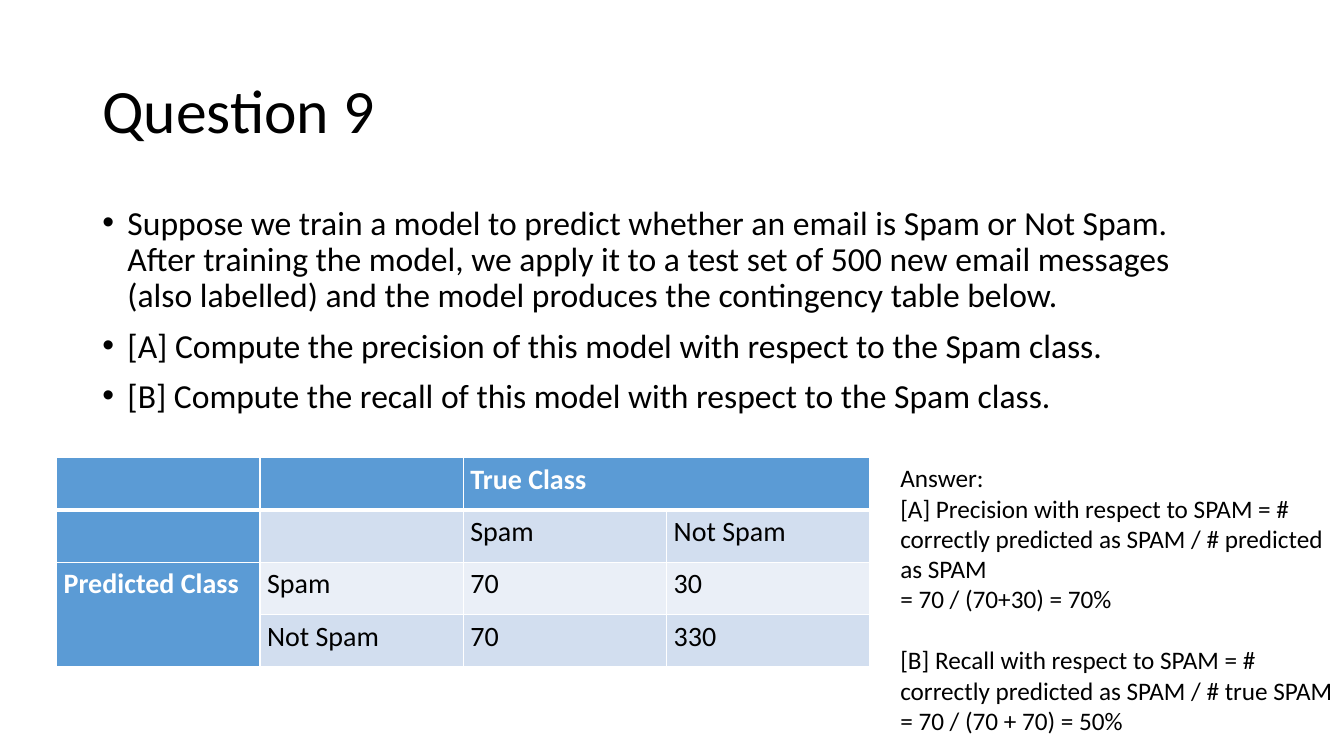
import pptx
import pptx.dml.color
import pptx.enum.text
import pptx.oxml
import pptx.oxml.ns
import pptx.util

Pt = pptx.util.Pt
ALIGN = pptx.enum.text.PP_ALIGN
ANCHOR = pptx.enum.text.MSO_ANCHOR
FONT = "Calibri"
COLORS = {"text": "000000", "white": "FFFFFF", "header": "5B9BD5",
          "band": "D2DEEF", "light": "EAEFF7"}

TITLE = "Question 9"
QUESTIONS = [
    "Suppose we train a model to predict whether an email is Spam or Not Spam. "
    "After training the model, we apply it to a test set of 500 new email messages "
    "(also labelled) and the model produces the contingency table below.",
    "[A] Compute the precision of this model with respect to the Spam class.",
    "[B] Compute the recall of this model with respect to the Spam class.",
]
CONTINGENCY = [
    ["", "", "True Class", ""],
    ["", "", "Spam", "Not Spam"],
    ["Predicted Class", "Spam", "70", "30"],
    ["", "Not Spam", "70", "330"],
]
# Each answer line with the space before it
ANSWER = [
    ("Answer:", 0),
    ("[A] Precision with respect to SPAM = # correctly predicted as SPAM / # predicted as SPAM", 0),
    ("= 70 / (70+30) = 70%", 0),
    ("[B] Recall with respect to SPAM = # correctly predicted as SPAM / # true SPAM", 22),
    ("= 70 / (70 + 70) = 50%", 0),
]


def rgb(name):
    return pptx.dml.color.RGBColor.from_string(COLORS[name])


def add_run(p, text, size, color="text", bold=False):
    r = p.add_run()
    r.text = text
    r.font.name = FONT
    r.font.size = Pt(size)
    r.font.bold = bold
    r.font.color.rgb = rgb(color)


def add_paragraph(tf, i):
    """Return the paragraph at index i, using the frame's first one for 0."""
    return tf.add_paragraph() if i else tf.paragraphs[0]


def add_text_frame(s, left, top, width, height):
    tf = s.shapes.add_textbox(Pt(left), Pt(top), Pt(width), Pt(height)).text_frame
    tf.word_wrap = True
    return tf


def add_title(s, left, top, width, height):
    sp = s.shapes.title
    sp.left, sp.top, sp.width, sp.height = Pt(left), Pt(top), Pt(width), Pt(height)
    tf = sp.text_frame
    tf.vertical_anchor = ANCHOR.MIDDLE
    p = tf.paragraphs[0]
    p.alignment = ALIGN.LEFT
    p.line_spacing = 0.9
    add_run(p, TITLE, 44)


def add_questions(s, left, top, width, height):
    tf = add_text_frame(s, left, top, width, height)
    for i, text in enumerate(QUESTIONS):
        p = add_paragraph(tf, i)
        p.line_spacing = 0.9
        p.space_before = Pt(10)
        pPr = p._p.get_or_add_pPr()
        pPr.set("marL", str(Pt(18)))
        pPr.set("indent", str(Pt(-18)))
        for tag, key, value in (("buFont", "typeface", "Arial"), ("buChar", "char", "•")):
            pptx.oxml.ns.qn("a:" + tag)
            pPr.append(pptx.oxml.parse_xml(
                f'<a:{tag} {pptx.oxml.ns.nsdecls("a")} {key}="{value}"/>'))
        add_run(p, text, 24)


def set_borders(cell, bottom):
    tcPr = cell._tc.get_or_add_tcPr()
    widths = {"lnL": 1, "lnR": 1, "lnT": 1, "lnB": bottom}
    for i, (tag, width) in enumerate(widths.items()):
        tcPr.insert(i, pptx.oxml.parse_xml(
            f'<a:{tag} {pptx.oxml.ns.nsdecls("a")} w="{Pt(width)}"><a:solidFill>'
            f'<a:srgbClr val="{COLORS["white"]}"/></a:solidFill></a:{tag}>'))


def add_contingency_table(s, left, top, width, height):
    n_rows, n_cols = len(CONTINGENCY), len(CONTINGENCY[0])
    table = s.shapes.add_table(n_rows, n_cols, Pt(left), Pt(top),
                               Pt(width), Pt(height)).table
    for row in table.rows:
        row.height = Pt(height / n_rows)
    for col in table.columns:
        col.width = Pt(width / n_cols)
    for i, values in enumerate(CONTINGENCY):
        for j, text in enumerate(values):
            cell = table.cell(i, j)
            header = i == 0 or j == 0
            cell.fill.solid()
            cell.fill.fore_color.rgb = rgb(
                "header" if header else "band" if i % 2 else "light")
            set_borders(cell, 3 if i == 0 else 1)
            cell.margin_left = cell.margin_right = Pt(5)
            cell.margin_top = cell.margin_bottom = Pt(0)
            if text:
                p = cell.text_frame.paragraphs[0]
                p.alignment = ALIGN.JUSTIFY
                p.line_spacing = 1.15
                add_run(p, text, 20, "white" if header else "text", header)
    table.cell(0, 2).merge(table.cell(0, 3))
    table.cell(2, 0).merge(table.cell(3, 0))


def add_answer(s, left, top, width, height):
    tf = add_text_frame(s, left, top, width, height)
    for i, (text, gap) in enumerate(ANSWER):
        p = add_paragraph(tf, i)
        p.space_before = Pt(gap)
        add_run(p, text, 18)


def main():
    prs = pptx.Presentation()
    prs.slide_width, prs.slide_height = Pt(960), Pt(540)
    s = prs.slides.add_slide(prs.slide_layouts[5])
    add_title(s, 66, 28.75, 828, 104.4)
    add_questions(s, 66, 143.75, 828, 342.6)
    add_contingency_table(s, 40.5, 327, 581, 149)
    add_answer(s, 636, 327, 324, 204)
    prs.save("out.pptx")


if __name__ == "__main__":
    main()
